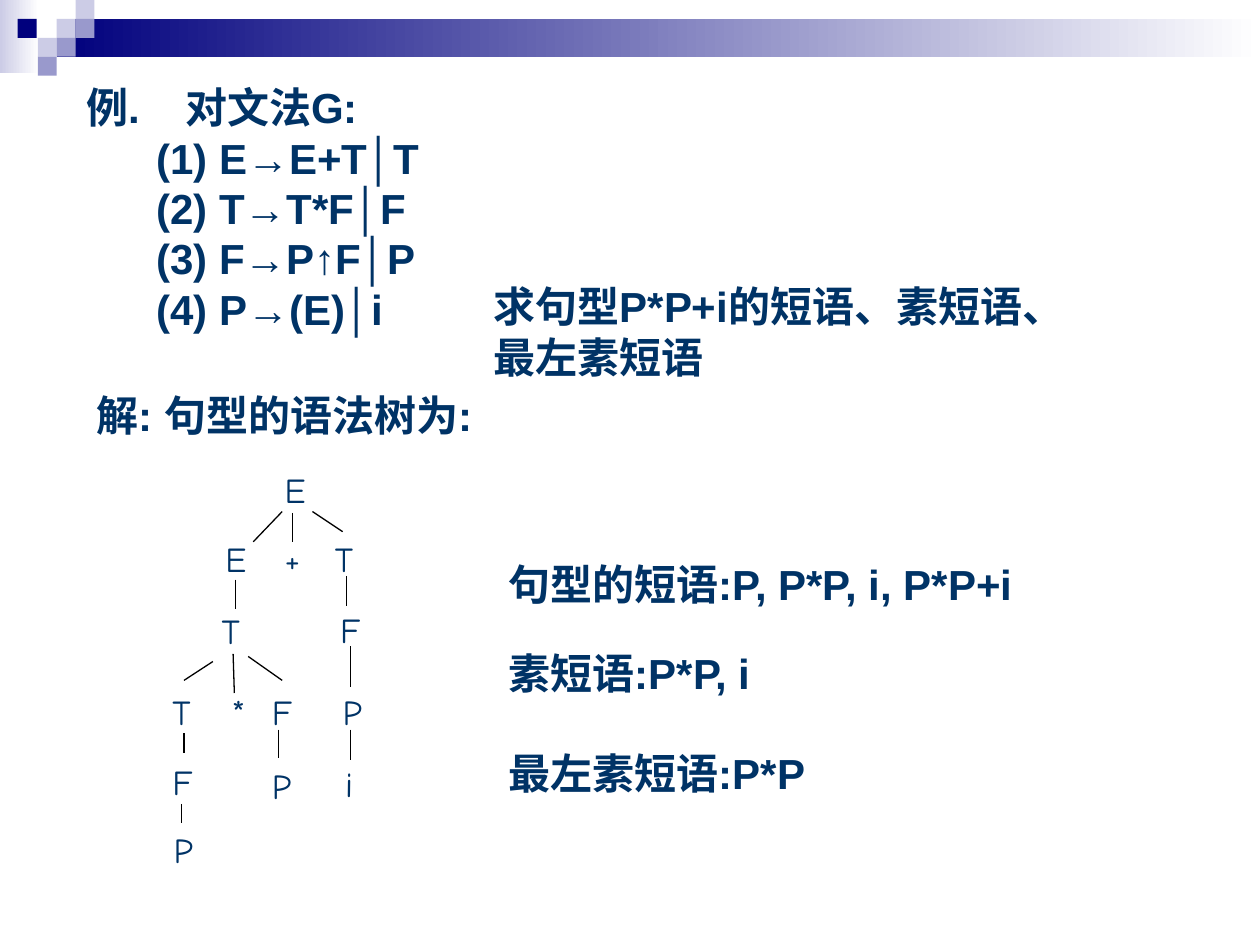
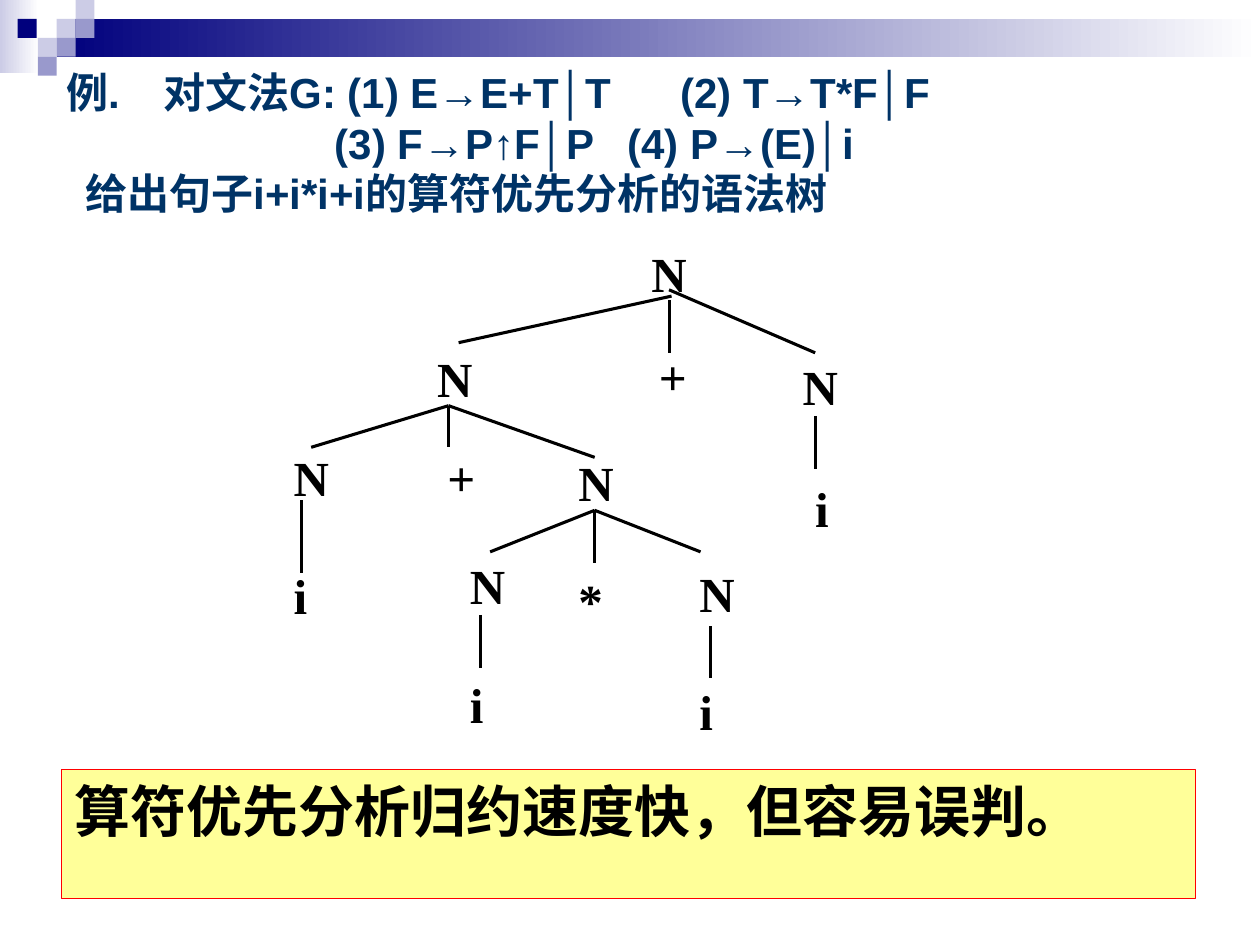
from dataclasses import dataclass
from typing import NamedTuple, Optional

import pptx
import pptx.dml.color
import pptx.enum.shapes
import pptx.enum.text
import pptx.oxml.ns
import pptx.util
from lxml import etree
from pptx.dml.color import RGBColor
from pptx.util import Inches

NAVY = RGBColor(0x00, 0x00, 0x7D)
LAVENDER = RGBColor(0xCC, 0xCC, 0xE6)
PERIWINKLE = RGBColor(0x99, 0x99, 0xCC)
INK = RGBColor(0x00, 0x33, 0x66)
BLACK = RGBColor(0, 0, 0)
WHITE = RGBColor(0xFF, 0xFF, 0xFF)
YELLOW = RGBColor(0xFF, 0xFF, 0x99)
RED = RGBColor(0xFF, 0, 0)
CJK = "Noto Sans CJK SC"


@dataclass(frozen=True)
class TextStyle:
    font: str
    size: float
    color: RGBColor
    bold: bool = True
    spacing: Optional[float] = None
    east_asian: Optional[str] = None


BODY = TextStyle("Arial", 24, INK, spacing=28.8)
HAND = TextStyle("Comic Neue", 20, INK, bold=False)
SERIF = TextStyle("Times New Roman", 28, BLACK)
NOTE = TextStyle(CJK, 32, BLACK, east_asian=CJK)


class Line(NamedTuple):
    text: str
    indent: float = 0
    tabs: tuple[float, ...] = ()


class Block(NamedTuple):
    x: float
    y: float
    w: float
    h: float
    lines: list[Line]


class Band(NamedTuple):
    x: float
    y: float
    w: float
    h: float
    color: RGBColor
    fades: bool = False


class Node(NamedTuple):
    text: str
    x: float
    y: float
    w: float


class Branch(NamedTuple):
    x1: float
    y1: float
    x2: float
    y2: float


@dataclass(frozen=True)
class Tree:
    style: TextStyle
    node_height: float
    padded: bool
    line_width: float
    nodes: list[Node]
    branches: list[Branch]


# Header shared by both slides
SQUARE = 0.15
HEADER = [
    Band(0, 0, 0.31, 0.58, LAVENDER, True),
    Band(0.45, 0.15, 9.55, 0.3, NAVY, True),
] + [Band(x, y, SQUARE, SQUARE, color) for x, y, color in [
    (0.45, 0.15, LAVENDER), (0.6, 0, LAVENDER), (0.6, 0.15, PERIWINKLE),
    (0.3, 0.3, LAVENDER), (0.14, 0.15, NAVY), (0.45, 0.3, PERIWINKLE),
    (0.3, 0.45, PERIWINKLE),
]]

# Slide 1: phrases of a sentential form
RULES = ["(1) E→E+T│T", "(2) T→T*F│F", "(3) F→P↑F│P", "(4) P→(E)│i"]
PHRASE_BLOCKS = [
    Block(0.59, 0.6, 5.75, 2.1,
          [Line("例.\t对文法G:", tabs=(0.78,))] + [Line(rule, 0.55) for rule in RULES]),
    Block(3.82, 2.18, 4.57, 0.9, [Line("求句型P*P+i的短语、素短语、最左素短语")]),
    Block(0.67, 3.04, 5.91, 0.5, [Line("解: 句型的语法树为:")]),
    Block(3.94, 4.38, 4.76, 0.5, [Line("句型的短语:P, P*P, i, P*P+i")]),
    Block(3.94, 5.09, 3.7, 0.5, [Line("素短语:P*P, i")]),
    Block(3.94, 5.88, 3.94, 0.5, [Line("最左素短语:P*P")]),
]
PHRASE_TREE = Tree(HAND, 0.44, True, 0.75, [
    Node("E", 2.16, 3.67, 0.71),
    Node("E", 1.69, 4.22, 0.39),
    Node("+", 2.16, 4.22, 0.32),
    Node("T", 2.56, 4.22, 0.39),
    Node("T", 1.66, 4.79, 0.39),
    Node("F", 2.6, 4.78, 0.39),
    Node("T", 1.27, 5.43, 0.32),
    Node("*", 1.74, 5.43, 0.32),
    Node("F", 2.06, 5.43, 0.39),
    Node("P", 2.62, 5.43, 0.39),
    Node("F", 1.27, 5.99, 0.39),
    Node("P", 2.06, 6.02, 0.39),
    Node("i", 2.64, 6, 0.55),
    Node("P", 1.28, 6.53, 0.55),
], [
    Branch(2.24, 4.06, 2.01, 4.3),
    Branch(2.32, 4.07, 2.32, 4.3),
    Branch(2.48, 4.06, 2.72, 4.22),
    Branch(1.87, 4.6, 1.87, 4.83),
    Branch(2.75, 4.57, 2.75, 4.81),
    Branch(1.69, 5.25, 1.46, 5.4),
    Branch(1.85, 5.19, 1.86, 5.5),
    Branch(1.97, 5.21, 2.24, 5.4),
    Branch(2.78, 5.13, 2.78, 5.45),
    Branch(1.46, 5.82, 1.46, 5.98),
    Branch(2.21, 5.79, 2.21, 6.02),
    Branch(2.78, 5.79, 2.78, 6.03),
    Branch(1.44, 6.38, 1.44, 6.53),
])

# Slide 2: operator-precedence tree
PRECEDENCE_BLOCKS = [
    Block(0.43, 0.48, 9.21, 1.3, [
        Line(f"例.\t对文法G: {RULES[0]}\t{RULES[1]}", tabs=(0.77, 4.87)),
        Line(f"\t{RULES[2]}\t{RULES[3]}", tabs=(2.13, 4.45)),
        Line("给出句子i+i*i+i的算符优先分析的语法树", 0.15),
    ]),
]
PRECEDENCE_TREE = Tree(SERIF, 0.47, False, 1.75, [
    Node("N", 5.17, 1.93, 0.28),
    Node("N", 3.47, 2.77, 0.28),
    Node("+", 5.23, 2.75, 0.22),
    Node("N", 6.37, 2.83, 0.28),
    Node("N", 2.33, 3.55, 0.28),
    Node("+", 3.55, 3.55, 0.22),
    Node("N", 4.59, 3.59, 0.28),
    Node("i", 6.47, 3.8, 0.11),
    Node("i", 2.33, 4.49, 0.11),
    Node("N", 3.73, 4.41, 0.28),
    Node("*", 4.59, 4.53, 0.19),
    Node("N", 5.55, 4.47, 0.28),
    Node("i", 3.73, 5.35, 0.11),
    Node("i", 5.55, 5.41, 0.11),
], [
    Branch(5.33, 2.35, 3.64, 2.72),
    Branch(5.31, 2.38, 5.31, 2.8),
    Branch(5.31, 2.3, 6.47, 2.8),
    Branch(3.56, 3.22, 2.47, 3.55),
    Branch(3.56, 3.22, 3.56, 3.55),
    Branch(3.56, 3.22, 4.72, 3.63),
    Branch(6.47, 3.3, 6.47, 3.72),
    Branch(2.39, 3.97, 2.39, 4.55),
    Branch(4.72, 4.05, 3.89, 4.38),
    Branch(4.72, 4.05, 4.72, 4.47),
    Branch(4.72, 4.05, 5.56, 4.38),
    Branch(3.81, 4.88, 3.81, 5.3),
    Branch(5.64, 4.97, 5.64, 5.38),
])
CONCLUSION = Block(0.49, 6.11, 9, 1.02, [Line("算符优先分析归约速度快，但容易误判。")])


def write_lines(tf, lines: list[Line], style: TextStyle) -> None:
    tf.vertical_anchor = pptx.enum.text.MSO_ANCHOR.TOP
    qn = pptx.oxml.ns.qn
    for i, line in enumerate(lines):
        p = tf.paragraphs[0] if i == 0 else tf.add_paragraph()
        p.text = line.text
        p.alignment = pptx.enum.text.PP_ALIGN.LEFT
        if style.spacing:
            p.line_spacing = pptx.util.Pt(style.spacing)
        props = p._p.get_or_add_pPr()
        if line.indent:
            props.set("marL", str(Inches(line.indent)))
        if line.tabs:
            tab_list = etree.SubElement(props, qn("a:tabLst"))
            for pos in line.tabs:
                etree.SubElement(tab_list, qn("a:tab"), pos=str(Inches(pos)), algn="l")
        p.font.name = style.font
        p.font.size = pptx.util.Pt(style.size)
        p.font.bold = style.bold
        p.font.color.rgb = style.color
        if style.east_asian:
            etree.SubElement(props.find(qn("a:defRPr")), qn("a:ea"),
                             typeface=style.east_asian)


def add_text(slide, block: Block, style: TextStyle, padded: bool = True) -> None:
    x, y, w, h, lines = block
    tf = slide.shapes.add_textbox(Inches(x), Inches(y), Inches(w), Inches(h)).text_frame
    tf.word_wrap = padded
    if not padded:
        tf.margin_left = tf.margin_right = tf.margin_top = tf.margin_bottom = 0
    write_lines(tf, lines, style)


def add_rect(slide, x: float, y: float, w: float, h: float):
    sp = slide.shapes.add_shape(pptx.enum.shapes.MSO_SHAPE.RECTANGLE,
                                Inches(x), Inches(y), Inches(w), Inches(h))
    sp.shadow.inherit = False
    return sp


def add_band(slide, band: Band) -> None:
    sp = add_rect(slide, band.x, band.y, band.w, band.h)
    sp.line.fill.background()
    if band.fades:
        sp.fill.gradient()
        sp.fill.gradient_angle = 0
        for stop, color in zip(sp.fill.gradient_stops, (band.color, WHITE)):
            stop.color.rgb = color
    else:
        sp.fill.solid()
        sp.fill.fore_color.rgb = band.color


def add_branch(slide, branch: Branch, width: float) -> None:
    line = slide.shapes.add_connector(pptx.enum.shapes.MSO_CONNECTOR.STRAIGHT,
                                      *(Inches(v) for v in branch))
    line.line.color.rgb = BLACK
    line.line.width = pptx.util.Pt(width)
    etree.SubElement(line._element.spPr, pptx.oxml.ns.qn("a:effectLst"))


def add_tree(slide, tree: Tree) -> None:
    for node in tree.nodes:
        block = Block(node.x, node.y, node.w, tree.node_height, [Line(node.text)])
        add_text(slide, block, tree.style, tree.padded)
    for branch in tree.branches:
        add_branch(slide, branch, tree.line_width)


def add_note(slide, note: Block) -> None:
    sp = add_rect(slide, note.x, note.y, note.w, note.h)
    sp.fill.solid()
    sp.fill.fore_color.rgb = YELLOW
    sp.line.color.rgb = RED
    sp.line.width = pptx.util.Pt(0.75)
    sp.text_frame.word_wrap = True
    write_lines(sp.text_frame, note.lines, NOTE)


def add_example(prs, blocks: list[Block], tree: Tree):
    slide = prs.slides.add_slide(prs.slide_layouts[6])
    for band in HEADER:
        add_band(slide, band)
    for block in blocks:
        add_text(slide, block, BODY)
    add_tree(slide, tree)
    return slide


def main() -> None:
    prs = pptx.Presentation()
    prs.slide_width, prs.slide_height = Inches(10), Inches(7.5)
    add_example(prs, PHRASE_BLOCKS, PHRASE_TREE)
    add_note(add_example(prs, PRECEDENCE_BLOCKS, PRECEDENCE_TREE), CONCLUSION)
    prs.save("out.pptx")


if __name__ == "__main__":
    main()
